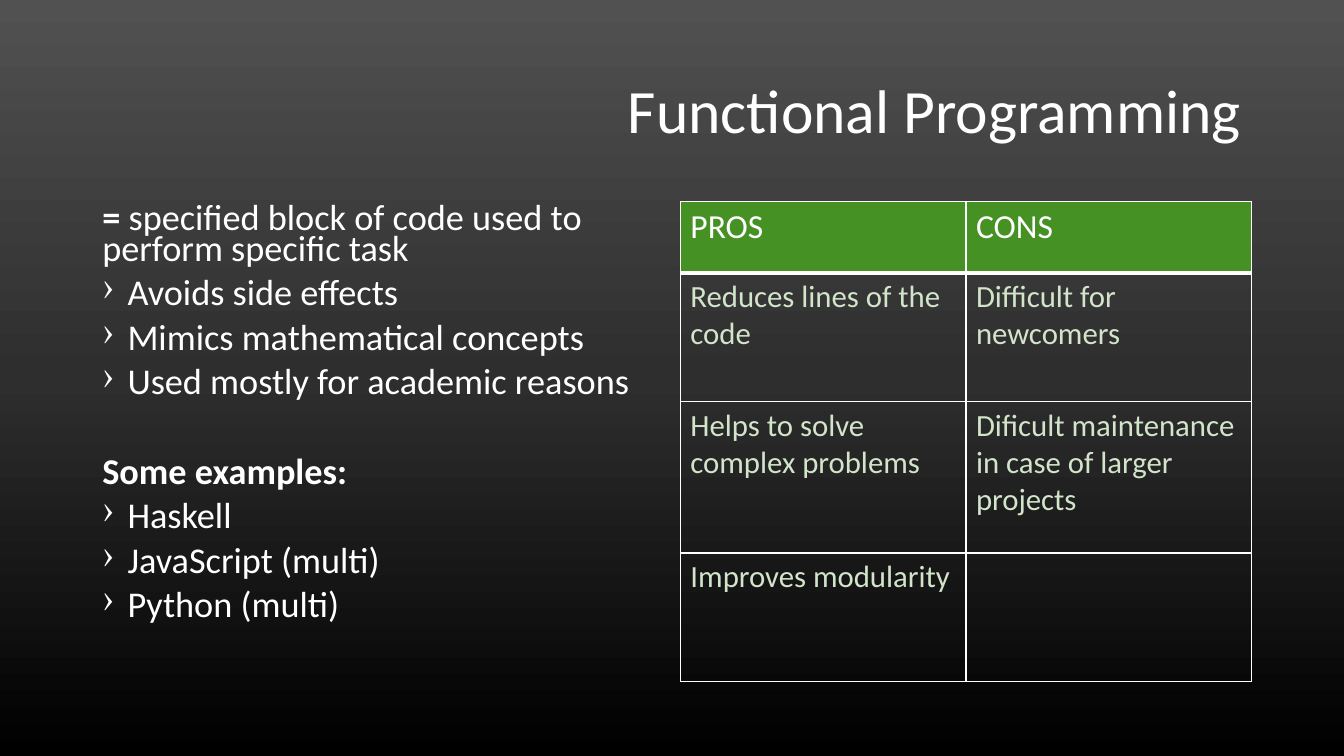
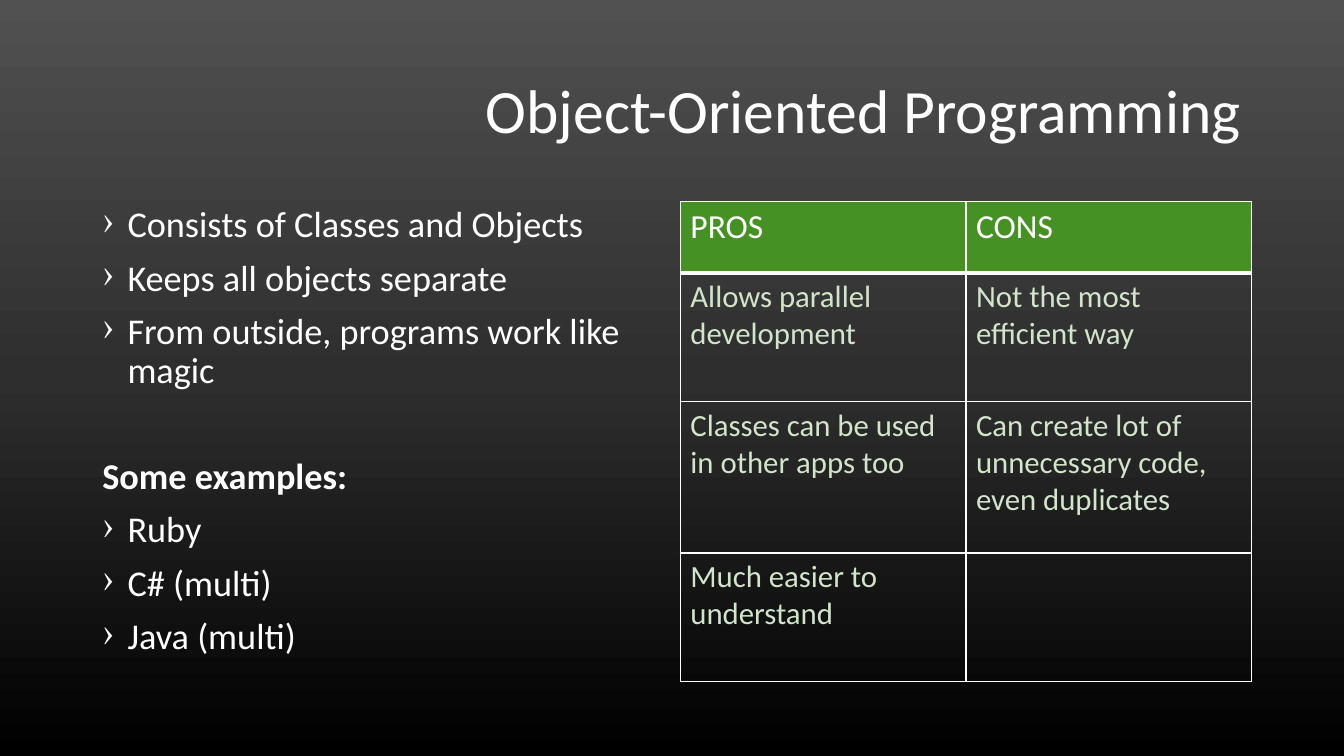
from copy import deepcopy
from lxml import etree
from pptx import Presentation
from pptx.dml.color import RGBColor
from pptx.enum import text as tx
from pptx.oxml.ns import qn
from pptx.util import Pt

WHITE = RGBColor(0xFF, 0xFF, 0xFF)
GREEN = RGBColor(0x45, 0x91, 0x23)
PALE = RGBColor(0xD2, 0xE4, 0xCA)
SHADES = [(0, RGBColor(0x51, 0x51, 0x51)),
          (0.5, RGBColor(0x2E, 0x2E, 0x2E)),
          (1, RGBColor(0, 0, 0))]
FONT = "Calibri"
BODY = 25.9     # body text size
GAP = 10        # space before a body paragraph
INDENT = 18
ROWS = [51, 92, 108, 92]
COL = 204


class Deck:
    def __init__(self):
        self.prs = Presentation()
        self.prs.slide_width, self.prs.slide_height = Pt(960), Pt(540)
        self.slide = None
        self.shade()

    def shade(self):
        """Give the master its three-stop background."""
        master = self.prs.slide_master
        fill = master.background.fill
        fill.gradient()
        fill.gradient_angle = 270
        stops = master.element.find(".//" + qn("a:gsLst"))
        stops.append(deepcopy(stops[0]))
        for stop, (place, color) in zip(fill.gradient_stops, SHADES):
            stop.position = place
            stop.color.rgb = color

    def page(self):
        self.slide = self.prs.slides.add_slide(self.prs.slide_layouts[6])

    def run(self, para, words, size, color=WHITE, bold=False):
        run = para.add_run()
        run.text = words
        style = {"name": FONT, "size": Pt(size), "bold": bold}
        for key, value in style.items():
            setattr(run.font, key, value)
        run.font.color.rgb = color

    def box(self, left, top, width, height, anchor):
        shape = self.slide.shapes.add_textbox(
            Pt(left), Pt(top), Pt(width), Pt(height))
        frame = shape.text_frame
        frame.word_wrap = True
        frame.vertical_anchor = anchor
        return frame

    def title(self, words):
        frame = self.box(66, 29, 828, 104, tx.MSO_ANCHOR.MIDDLE)
        para = frame.paragraphs[0]
        para.alignment = tx.PP_ALIGN.RIGHT
        para.line_spacing = 0.9
        self.run(para, words, 44)

    def body(self, items, lead):
        """Each item is (kind, words); kind is 'lead', 'head' or 'point'."""
        frame = self.box(66, 144, 408, 343, tx.MSO_ANCHOR.TOP)
        for i, (kind, words) in enumerate(items):
            para = frame.add_paragraph() if i else frame.paragraphs[0]
            para.line_spacing = lead
            # A heading stands one line apart from the list above it
            skip = GAP + BODY * 1.22 * lead if kind == "head" else 0
            para.space_before = Pt(round(GAP + skip))
            if kind == "lead":
                self.run(para, "= ", BODY, bold=True)
            self.run(para, words, BODY, bold=kind == "head")
            if kind == "point":
                self.bullet(para)

    def bullet(self, para):
        props = para._p.get_or_add_pPr()
        props.set("marL", str(Pt(INDENT)))
        props.set("indent", str(-Pt(INDENT)))
        etree.SubElement(props, qn("a:buChar")).set("char", "›")

    def table(self, rows):
        frame = self.slide.shapes.add_table(
            len(rows), 2, Pt(486), Pt(144), Pt(2 * COL), Pt(sum(ROWS)))
        grid = frame.table
        grid.first_row = grid.horz_banding = False
        for col in grid.columns:
            col.width = Pt(COL)
        for r, row in enumerate(rows):
            grid.rows[r].height = Pt(ROWS[r])
            size, color = (22, PALE) if r else (24, WHITE)
            for c, words in enumerate(row):
                cell = grid.cell(r, c)
                if r:
                    cell.fill.background()
                else:
                    cell.fill.solid()
                    cell.fill.fore_color.rgb = GREEN
                if words:
                    self.run(cell.text_frame.paragraphs[0], words, size, color)
                self.border(cell, top=3 if r == 1 else 1,
                            base=1 if r else 3)

    def border(self, cell, top, base):
        props = cell._tc.get_or_add_tcPr()
        sides = {"lnL": 1, "lnR": 1, "lnT": top, "lnB": base}
        for i, (side, width) in enumerate(sides.items()):
            line = etree.Element(qn("a:" + side), w=str(Pt(width)))
            fill = etree.SubElement(line, qn("a:solidFill"))
            etree.SubElement(fill, qn("a:srgbClr")).set("val", str(WHITE))
            props.insert(i, line)


def main():
    deck = Deck()
    header = ("PROS", "CONS")
    examples = ("head", "Some examples:")

    # Functional programming
    deck.page()
    deck.title("Functional Programming")
    deck.body([
        ("lead", "specified block of code used to perform specific task"),
        ("point", "Avoids side effects"),
        ("point", "Mimics mathematical concepts"),
        ("point", "Used mostly for academic reasons"),
        examples,
        ("point", "Haskell"),
        ("point", "JavaScript (multi)"),
        ("point", "Python (multi)"),
    ], 0.7)
    deck.table([
        header,
        ("Reduces lines of the code", "Difficult for newcomers"),
        ("Helps to solve complex problems",
         "Dificult maintenance in case of larger projects"),
        ("Improves modularity", ""),
    ])

    # Object-oriented programming
    deck.page()
    deck.title("Object-Oriented Programming")
    deck.body([
        ("point", "Consists of Classes and Objects"),
        ("point", "Keeps all objects separate"),
        ("point", "From outside, programs work like magic"),
        examples,
        ("point", "Ruby"),
        ("point", "C# (multi)"),
        ("point", "Java (multi)"),
    ], 0.9)
    deck.table([
        header,
        ("Allows parallel development", "Not the most efficient way"),
        ("Classes can be used in other apps too",
         "Can create lot of unnecessary code, even duplicates"),
        ("Much easier to understand", ""),
    ])

    deck.prs.save("out.pptx")


if __name__ == "__main__":
    main()
